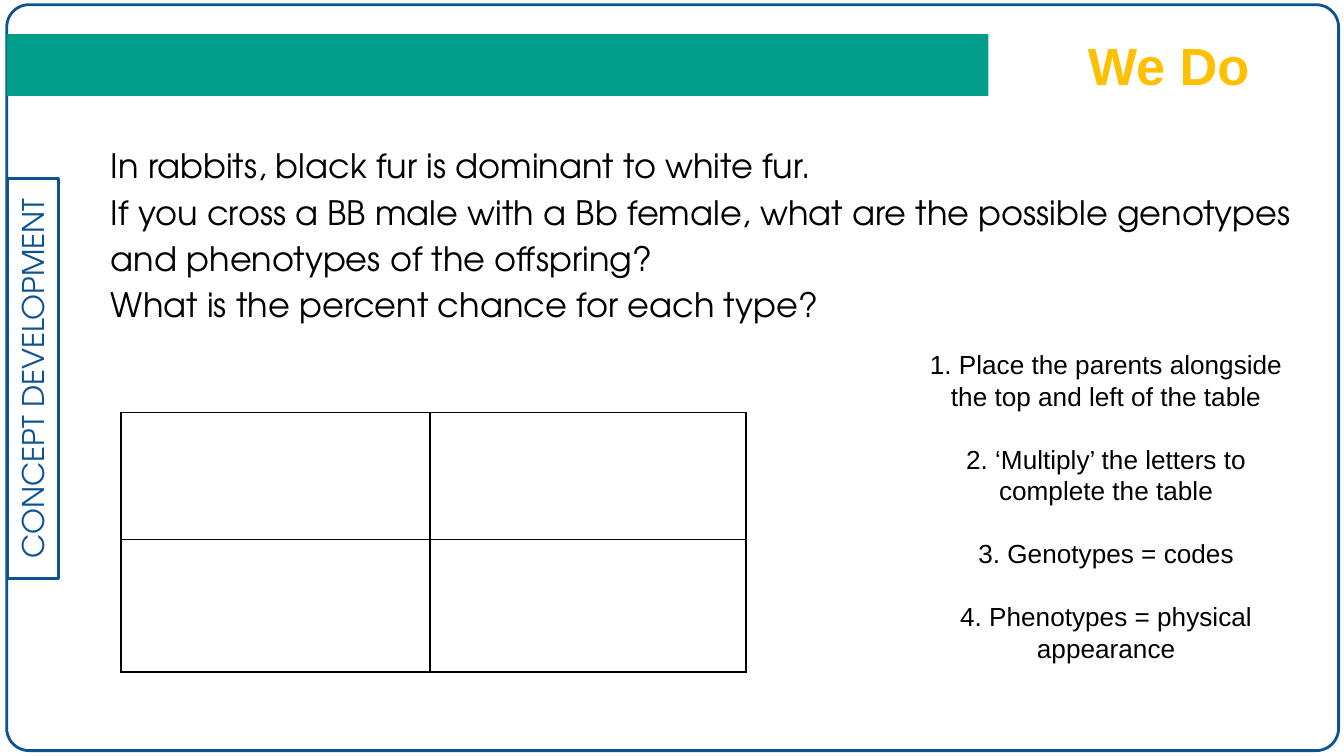
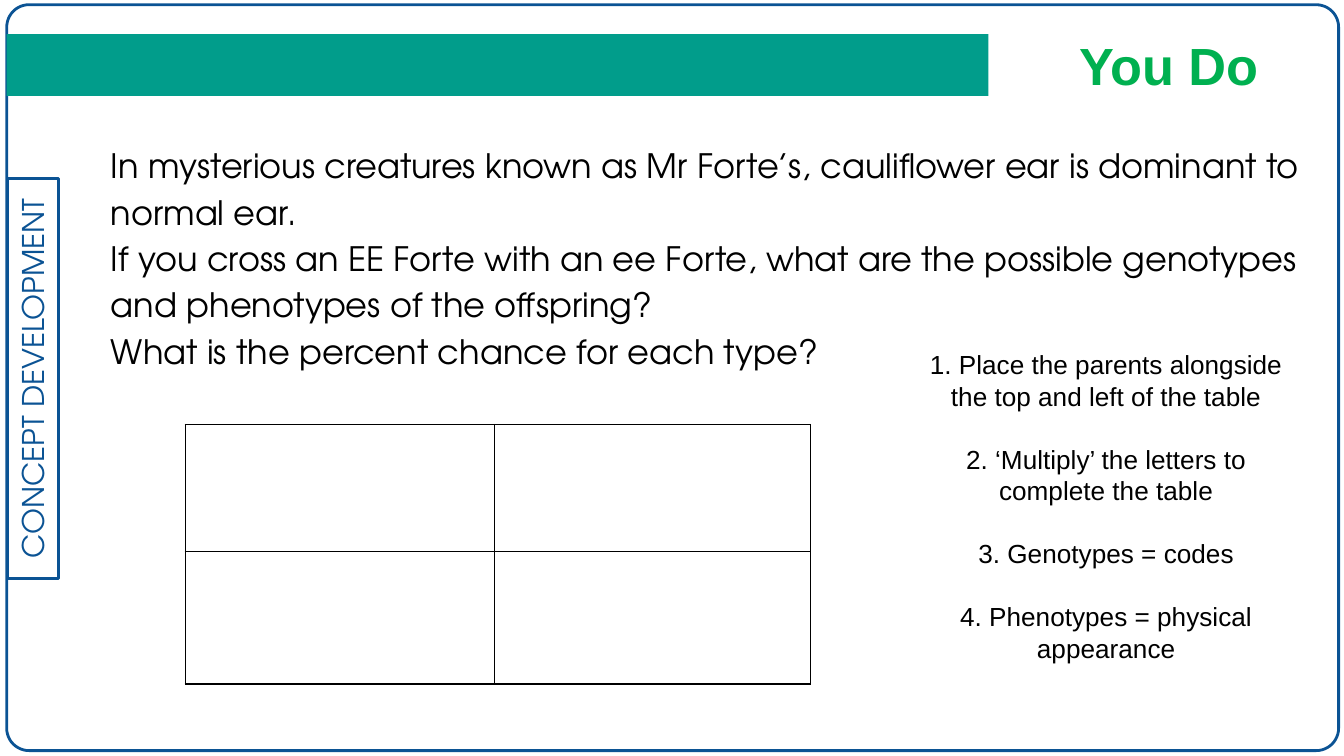
"""Build two genetics practice slides, each with a blank two-by-two cross table."""
from dataclasses import dataclass

import pptx
import pptx.dml.color
import pptx.enum.shapes
import pptx.enum.text
import pptx.oxml
import pptx.oxml.ns
import pptx.util

PX = 4572
SHAPE = pptx.enum.shapes.MSO_SHAPE
ALIGN = pptx.enum.text.PP_ALIGN


@dataclass(frozen=True)
class Theme:
    blue: str = "0B5394"
    teal: str = "019D8B"
    black: str = "000000"
    amber: str = "FFC000"
    green: str = "00B050"
    display: str = "TeX Gyre Adventor"
    plain: str = "Arial"
    title: int = 28
    body: int = 18
    label: int = 16
    step: int = 14
    step_gap: int = 17


THEME = Theme()
CHANCE = "What is the percent chance for each type?"
STEPS = [
    "1. Place the parents alongside the top and left of the table",
    "2. ‘Multiply’ the letters to complete the table",
    "3. Genotypes = codes",
    "4. Phenotypes = physical appearance",
]
SLIDES = [
    ("We Do", THEME.amber, (180, 614), [
        "In rabbits, black fur is dominant to white fur. ",
        "If you cross a BB male with a Bb female, what are the possible "
        "genotypes and phenotypes of the offspring? ",
        CHANCE,
    ]),
    ("You Do", THEME.green, (276, 632), [
        "In mysterious creatures known as Mr Forte’s, cauliflower ear is "
        "dominant to normal ear. ",
        "If you cross an EE Forte with an ee Forte, what are the possible "
        "genotypes and phenotypes of the offspring? ",
        CHANCE,
    ]),
]


def px(*values):
    return [pptx.util.Emu(v * PX) for v in values]


def rgb(code):
    return pptx.dml.color.RGBColor.from_string(code)


def write(tf, lines, font, size, color, align=ALIGN.LEFT, bold=False,
          spacing=None, gap=0, insets=(20, 10, 20, 10)):
    tf.word_wrap = True
    tf.margin_left, tf.margin_top, tf.margin_right, tf.margin_bottom = px(*insets)
    for i, line in enumerate(lines):
        p = tf.add_paragraph() if i else tf.paragraphs[0]
        p.text = line
        p.alignment = align
        if spacing:
            p.line_spacing = spacing
        if i and gap:
            p.space_before = pptx.util.Pt(gap)
        for r in p.runs:
            r.font.name, r.font.size, r.font.bold = font, pptx.util.Pt(size), bold
            r.font.color.rgb = rgb(color)


def add_text(s, box, lines, *args, **kwargs):
    tf = s.shapes.add_textbox(*px(*box)).text_frame
    write(tf, lines, *args, **kwargs)


def add_box(s, kind, box, fill=None, line=None):
    sp = s.shapes.add_shape(kind, *px(*box))
    sp.shadow.inherit = False
    if fill:
        sp.fill.solid()
        sp.fill.fore_color.rgb = rgb(fill)
    else:
        sp.fill.background()
    if line:
        sp.line.color.rgb = rgb(line)
        sp.line.width = pptx.util.Pt(1.5)
    else:
        sp.line.fill.background()
    return sp


def add_frame(s):
    frame = add_box(s, SHAPE.ROUNDED_RECTANGLE, (10, 7, 1982, 1110), line=THEME.blue)
    frame.adjustments[0] = 0.03
    label = add_box(s, SHAPE.RECTANGLE, (-249, 525, 596, 76), line=THEME.blue)
    label.rotation = 270
    label.text_frame.vertical_anchor = pptx.enum.text.MSO_ANCHOR.MIDDLE
    write(label.text_frame, ["CONCEPT DEVELOPMENT"], THEME.display, THEME.label,
          THEME.blue, ALIGN.CENTER, insets=(20, 20, 20, 20))
    add_box(s, SHAPE.RECTANGLE, (10, 51, 1461, 92), fill=THEME.teal)


def set_borders(cell, color):
    tc_pr = cell._tc.get_or_add_tcPr()
    for i, side in enumerate(("lnL", "lnR", "lnT", "lnB")):
        tc_pr.insert(i, pptx.oxml.parse_xml(
            f'<a:{side} {pptx.oxml.ns.nsdecls("a")} w="{pptx.util.Pt(1)}">'
            f'<a:solidFill><a:srgbClr val="{color}"/></a:solidFill></a:{side}>'))


def add_cross_table(s, left, top):
    widths, heights = px(460, 470), px(189, 197)
    table = s.shapes.add_table(2, 2, *px(left, top), sum(widths), sum(heights)).table
    table.first_row = table.horz_banding = False
    for column, width in zip(table.columns, widths):
        column.width = width
    for row, height in zip(table.rows, heights):
        row.height = height
    for cell in table.iter_cells():
        cell.fill.background()
        set_borders(cell, THEME.black)


def add_practice_slide(prs, title, color, corner, question):
    s = prs.slides.add_slide(prs.slide_layouts[6])
    add_frame(s)
    add_text(s, (120, 187, 1844, 890), ["\n".join(question)], THEME.display,
             THEME.body, THEME.black, spacing=1.15, insets=(45, 20, 20, 20))
    add_cross_table(s, *corner)
    add_text(s, (1358, 462, 576, 586), STEPS, THEME.plain, THEME.step, THEME.black,
             ALIGN.CENTER, gap=THEME.step_gap, insets=(20, 57, 20, 10))
    add_text(s, (1544, 40, 390, 114), [title], THEME.plain, THEME.title, color,
             ALIGN.CENTER, bold=True)


def main():
    prs = pptx.Presentation()
    prs.slide_width, prs.slide_height = px(2000, 1125)
    for content in SLIDES:
        add_practice_slide(prs, *content)
    prs.save("out.pptx")


if __name__ == "__main__":
    main()
